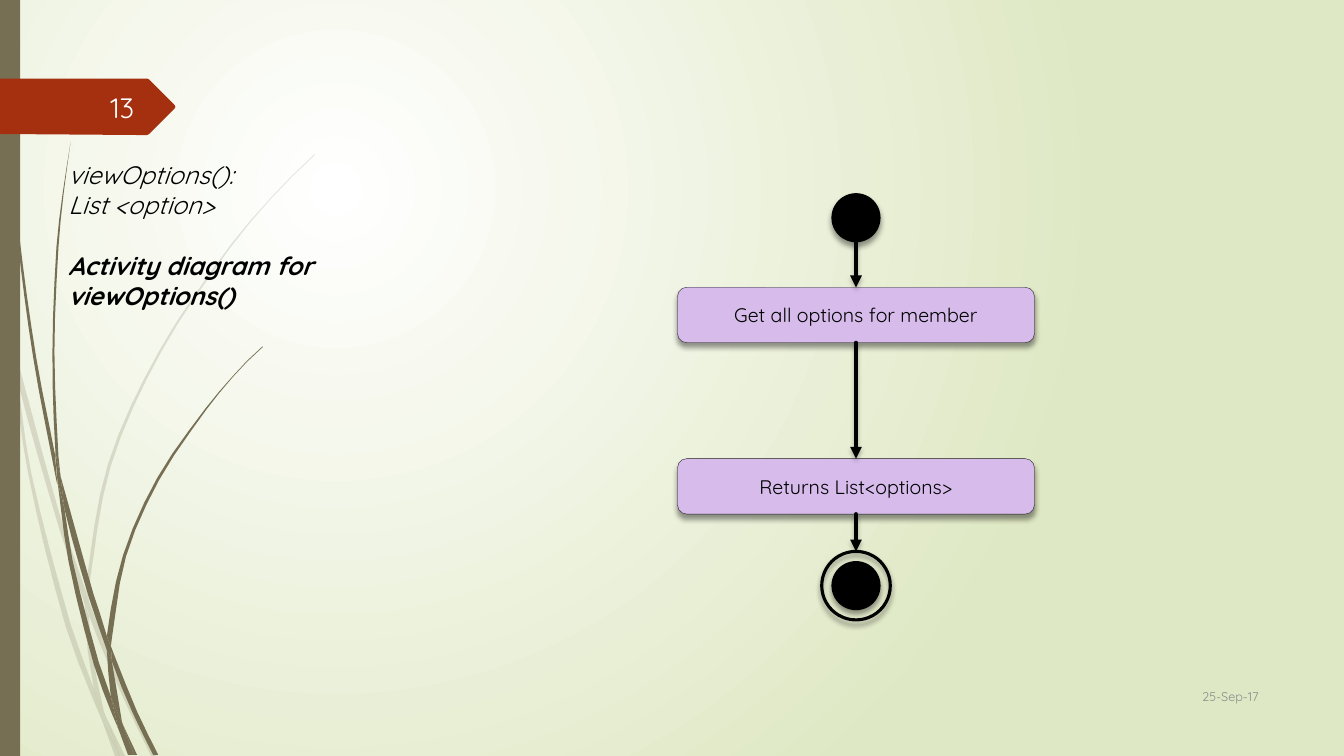
from math import hypot

from lxml import etree
from pptx import Presentation
from pptx.dml.color import RGBColor
from pptx.enum.shapes import MSO_CONNECTOR, MSO_SHAPE
from pptx.enum.text import MSO_ANCHOR, PP_ALIGN
from pptx.oxml import parse_xml
from pptx.oxml.ns import qn
from pptx.util import Cm, Pt

BAR, DOT = MSO_SHAPE.RECTANGLE, MSO_SHAPE.FLOWCHART_CONNECTOR
STEP = MSO_SHAPE.FLOWCHART_ALTERNATE_PROCESS
LINE = MSO_CONNECTOR.STRAIGHT
LEFT, MID, RIGHT = PP_ALIGN.LEFT, PP_ALIGN.CENTER, PP_ALIGN.RIGHT
TOP, CORE = MSO_ANCHOR.TOP, MSO_ANCHOR.MIDDLE
NS = "http://schemas.openxmlformats.org/drawingml/2006/main"

# Outlines of the grass, as x, y pairs in inches
PALE = [
    (.11, 3.5, .09, 3.22, 0, 2.82, 0, 2.99, .1, 3.44),
    (.58, 5.22, .84, 5.99, .85, 5.86, .62, 5.2, .14, 3.45, .17, 3.76),
    (.92, 6.07, .88, 5.96, .88, 6.1, 1.23, 6.94, 1.5, 7.5, 1.55, 7.5,
     1.27, 6.92),
    (1.19, 7.5, 1.24, 7.5, 1.05, 7.11),
    (.93, 6.83, .7, 6.19, .31, 4.69, .17, 3.76, .11, 3.5, .28, 4.7,
     .65, 6.21, .92, 6.93, 1.01, 7.14, .99, 7.07),
    (.84, 5.99, .87, 6.46, .93, 6.83, .96, 6.92, 1.05, 7.11, 1.03, 7.06,
     .91, 6.46, .88, 6.1),
    (.88, 5.84, 1.1, 4.62, 1.6, 3.49, 2.29, 2.45, 2.68, 1.98, 2.9, 1.75,
     3.12, 1.54, 3.12, 1.53, 2.89, 1.75, 2.68, 1.97, 2.28, 2.44, 1.58, 3.48,
     1.07, 4.61, .85, 5.84, .88, 5.96),
    (1.01, 7.14, 1.14, 7.5, 1.19, 7.5),
    (.88, 6.08, .88, 5.96, .85, 5.86, .84, 5.99),
    (.96, 6.92, .93, 6.83, .99, 7.07, 1.01, 7.14, 1.19, 7.5, 1.05, 7.11),
]
DARK = [
    (.07, 1.1, .17, 2.33, .33, 3.55, .56, 4.77, .57, 4.81, .55, 4.57,
     .55, 4.53, .36, 3.55, .19, 2.32, .08, 1.09, .05, .48, .04, 0, .03, 0,
     .04, .48),
    (.88, 5.92, 1.06, 6.45, 1.06, 6.31, .93, 5.9, .6, 4.72, .64, 5.05),
    (1.13, 6.49, 1.1, 6.41, 1.11, 6.56, 1.32, 7.08, 1.52, 7.49, 1.57, 7.49,
     1.36, 7.06),
    (1.1, 6.91, .98, 6.57, .72, 5.56, .64, 5.05, .57, 4.77, .68, 5.57,
     .93, 6.59, 1.11, 7.08, 1.17, 7.22, 1.16, 7.17),
    (.6, 4.72, .58, 4.53, .54, 3.49, .58, 2.45, .63, 1.93, .7, 1.41,
     .62, 1.93, .56, 2.45, .52, 3.49, .55, 4.49),
    (1.33, 7.49, 1.36, 7.49, 1.22, 7.19),
    (.57, 4.77, .64, 5.05, .6, 4.72, .55, 4.49, .55, 4.53),
    (1.11, 6.33, 1.25, 5.52, 1.58, 4.76, 2.05, 4.06, 2.31, 3.74, 2.45, 3.59,
     2.61, 3.44, 2.6, 3.44, 2.45, 3.58, 2.31, 3.73, 2.04, 4.05, 1.56, 4.74,
     1.22, 5.51, 1.06, 6.31, 1.1, 6.41),
    (1.17, 7.22, 1.27, 7.49, 1.31, 7.49),
    (1.06, 6.45, 1.1, 6.91, 1.16, 7.06, 1.22, 7.19, 1.21, 7.16, 1.11, 6.56,
     1.09, 6.51),
    (1.06, 6.45, 1.09, 6.51, 1.11, 6.56, 1.1, 6.41, 1.06, 6.31),
    (1.16, 7.06, 1.1, 6.91, 1.16, 7.17, 1.17, 7.22, 1.3, 7.49, 1.33, 7.49,
     1.22, 7.19),
]
TAG = (1.73, 1.08, 1.48, 1.33, 1.46, 1.34, 1.36, 1.34, 0, 1.33, 0, .78,
       1.46, .78, 1.48, .79, 1.73, 1.04, 1.74, 1.06)


def inch(num):
    return Cm(num * 2.54)


def tint(code):
    return RGBColor.from_string(code)


def fade(part, alpha):
    """Set the opacity, in percent, of the colour inside part."""
    color = part.find(".//" + qn("a:srgbClr"))
    etree.SubElement(color, qn("a:alpha"), val=str(alpha * 1000))


def unit(a, b):
    size = hypot(b[0] - a[0], b[1] - a[1])
    return (b[0] - a[0]) / size, (b[1] - a[1]) / size


def smooth(pts, pitch=.4):
    """Round a closed outline, but keep its sharp corners."""
    count = len(pts)

    def slope(at, side):
        before = unit(pts[at - 1], pts[at])
        after = unit(pts[at], pts[(at + 1) % count])
        if before[0] * after[0] + before[1] * after[1] > .8:
            return unit(pts[at - 1], pts[(at + 1) % count])
        return side

    curve = []
    for i, a in enumerate(pts):
        j = (i + 1) % count
        b = pts[j]
        side, size = unit(a, b), hypot(b[0] - a[0], b[1] - a[1])
        start, end = slope(i, side), slope(j, side)
        steps = int(size / pitch) + 1
        for t in (n / steps for n in range(steps)):
            h = t * t * (3 - 2 * t)
            p, q = size * t * (1 - t) ** 2, size * t * t * (t - 1)
            curve.append(tuple(a[k] + (b[k] - a[k]) * h + start[k] * p
                               + end[k] * q for k in (0, 1)))
    return curve


def write(frame, lines, size=14, color="000000", align=MID, anchor=CORE):
    """Each line is a text, or a text with its (bold, italic, gap)."""
    frame.word_wrap, frame.vertical_anchor = True, anchor
    for i, line in enumerate(lines):
        text, bold, slant, gap = line if isinstance(line, tuple) else (
            line, False, False, 0)
        para = frame.paragraphs[0] if i == 0 else frame.add_paragraph()
        para.alignment = align
        if gap:
            para.space_before = Pt(gap)
        run = para.add_run()
        run.text = text
        font = run.font
        font.name, font.size, font.color.rgb = "Quicksand", Pt(size), tint(color)
        font.bold, font.italic = bold, slant


class Deck:
    ink, olive, rust, lilac = "000000", "766F54", "A53010", "D6BBEB"

    def __init__(self):
        self.show = Presentation()
        self.show.slide_width, self.show.slide_height = inch(13.33), inch(7.5)
        self.slide = self.show.slides.add_slide(self.show.slide_layouts[6])
        self.shapes = self.slide.shapes

    def back(self, inner, outer):
        self.slide.background.fill.solid()
        prop = self.slide.element.find(".//" + qn("p:bgPr"))
        prop.replace(prop[0], parse_xml(
            f'<a:gradFill xmlns:a="{NS}" rotWithShape="1"><a:gsLst>'
            f'<a:gs pos="0"><a:srgbClr val="{inner}"/></a:gs>'
            f'<a:gs pos="100000"><a:srgbClr val="{outer}"/></a:gs></a:gsLst>'
            '<a:path path="circle"><a:fillToRect l="50000" t="50000" '
            'r="100000" b="100000"/></a:path></a:gradFill>'))

    def glow(self, shape, alpha, blur, dist):
        props = shape.element.spPr
        fx = props.find(qn("a:effectLst"))
        if fx is None:
            fx = etree.SubElement(props, qn("a:effectLst"))
        fx.append(parse_xml(
            f'<a:outerShdw xmlns:a="{NS}" blurRad="{Pt(blur)}" '
            f'dist="{Pt(dist)}" dir="5400000" rotWithShape="0">'
            f'<a:srgbClr val="{self.ink}"><a:alpha val="{alpha * 1000}"/>'
            '</a:srgbClr></a:outerShdw>'))

    def blade(self, flat, color, alpha=100, soft=True):
        pts = list(zip(flat[::2], flat[1::2]))
        pts = [(inch(x), inch(y)) for x, y in (smooth(pts) if soft else pts)]
        pen = self.shapes.build_freeform(*pts[0], scale=1)
        pen.add_line_segments(pts[1:], close=True)
        self.paint(pen.convert_to_shape(), color, alpha)

    def paint(self, shape, color, alpha=100):
        shape.shadow.inherit = False
        shape.fill.solid()
        shape.fill.fore_color.rgb = tint(color)
        shape.line.fill.background()
        if alpha < 100:
            fade(shape.element.spPr, alpha)

    def block(self, kind, x, y, w, h, color=None, edge=0, text=None):
        shape = self.shapes.add_shape(kind, *map(inch, (x, y, w, h)))
        self.paint(shape, color or self.ink)
        if not color:
            shape.fill.background()
        if edge:
            shape.line.color.rgb, shape.line.width = tint(self.ink), Pt(edge)
            self.glow(shape, 40, 4, 3)
        if text:
            fade(shape.element.spPr.find(qn("a:ln")), 88)
            write(shape.text_frame, [text])

    def disc(self, x, y, size, color=None, edge=1.25):
        self.block(DOT, x - size / 2, y - size / 2, size, size, color, edge)

    def arrow(self, x, top, end):
        link = self.shapes.add_connector(LINE, *map(inch, (x, top, x, end)))
        link.line.color.rgb, link.line.width = tint(self.ink), Pt(2.8)
        edge = link.element.spPr.find(qn("a:ln"))
        edge.set("cap", "rnd")
        etree.SubElement(edge, qn("a:tailEnd"), type="triangle")
        self.glow(link, 25, 3, 2)

    def label(self, x, y, w, h, *lines, **style):
        box = self.shapes.add_textbox(*map(inch, (x, y, w, h)))
        write(box.text_frame, lines, **style)


def main():
    deck = Deck()

    # Backdrop
    deck.back("FFFFFF", "DFE8C4")
    for flat in PALE:
        deck.blade(flat, deck.olive, alpha=20)
    for flat in DARK:
        deck.blade(flat, deck.olive)
    deck.block(BAR, 0, 0, .2, 7.5, deck.olive)
    deck.blade(TAG, deck.rust, soft=False)

    # Date, number and title
    deck.label(11.33, 6.7, 1.25, .41, "25-Sep-17", size=9, color="8C8C8C",
               align=RIGHT)
    deck.label(.58, .86, .85, .4, "13", size=20, color="FEFFFF", align=RIGHT)
    deck.label(.58, 1.53, 3.57, 1.62, ("viewOptions():", False, True, 0),
               ("List <option>", False, True, 0),
               ("Activity diagram for viewOptions()", True, True, 21.6),
               size=18, align=LEFT, anchor=TOP)

    # Activity flow
    mid = 8.49
    deck.disc(mid, 2.16, .47, deck.ink)
    for y, text in ((2.85, "Get all options for member"),
                    (4.55, "Returns List<options>")):
        deck.block(STEP, mid - 1.77, y, 3.54, .55, deck.lilac, .25, text)
    deck.disc(mid, 5.81, .47, deck.ink)
    deck.disc(mid, 5.81, .68, edge=2.25)
    for top, end in ((2.4, 2.85), (3.4, 4.55), (5.1, 5.47)):
        deck.arrow(mid, top, end)

    deck.show.save("out.pptx")


if __name__ == "__main__":
    main()
